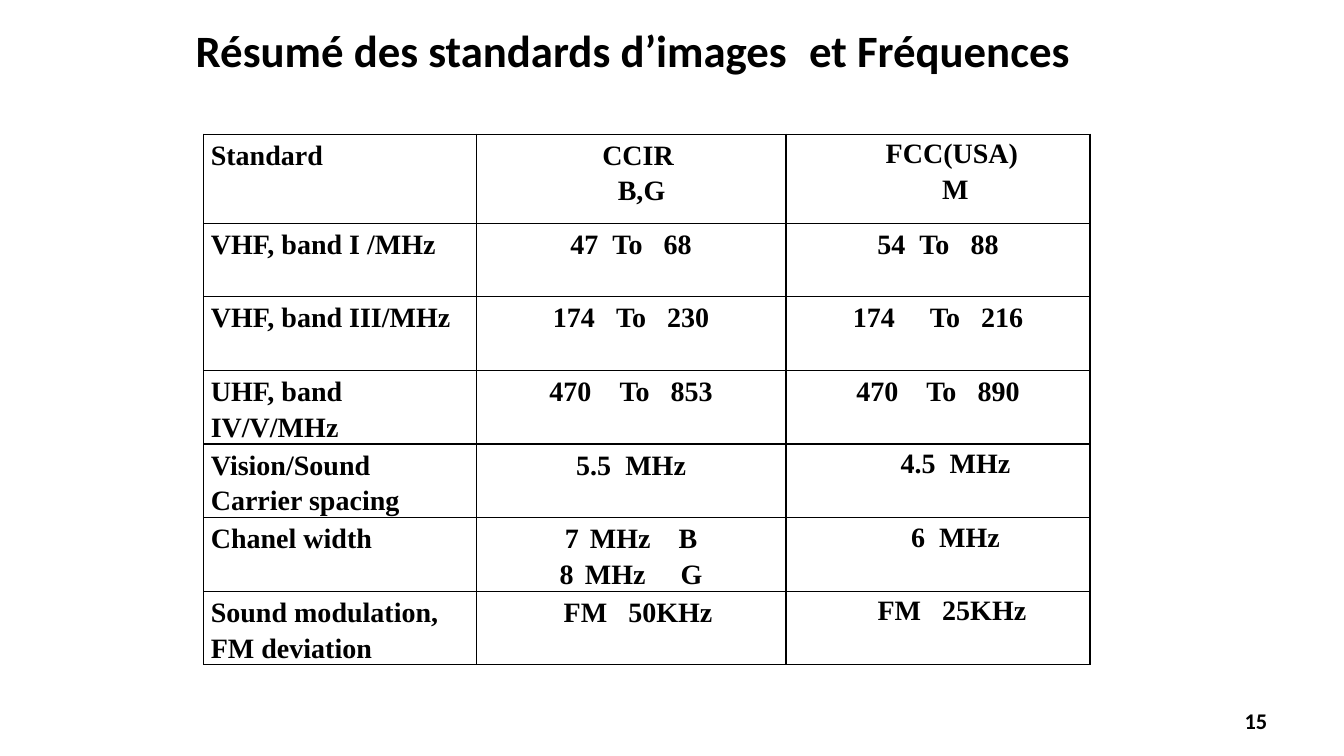
from lxml import etree
from pptx import Presentation
from pptx.dml.color import RGBColor
from pptx.enum.text import MSO_ANCHOR, PP_ALIGN
from pptx.oxml.ns import qn
from pptx.util import Pt

LEFT, CENTER, RIGHT = PP_ALIGN.LEFT, PP_ALIGN.CENTER, PP_ALIGN.RIGHT
MIDDLE = MSO_ANCHOR.MIDDLE
BLACK = "000000"
SPACE = 0.25  # width of a space, as a share of the text size


def color(code):
    return RGBColor.from_string(code)


class Page:
    """Holds the style and the current slide."""
    head, body, ink = "Calibri", "Times New Roman", BLACK

    def __init__(self, deck):
        self.slide = deck.slides.add_slide(deck.slide_layouts[6])

    def style(self, para, face, size, align):
        para.alignment = align
        font = para.font
        font.name, font.size, font.bold = face, Pt(size), True
        font.color.rgb = color(self.ink)

    def words(self, para, text, gaps, size):
        """Join the parts of text with spaces, each as wide as its gap."""
        first, *rest = text.split("|")
        para.add_run().text = first
        for part, gap in zip(rest, gaps):
            space = para.add_run()
            space.text = " "
            extra = round((gap - 1) * SPACE * size * 100)
            space._r.get_or_add_rPr().set("spc", str(extra))
            para.add_run().text = part

    def label(self, text, box, size, align, gaps=()):
        frame = self.slide.shapes.add_textbox(*map(Pt, box)).text_frame
        frame.word_wrap = True
        frame.vertical_anchor = MIDDLE
        para = frame.paragraphs[0]
        self.words(para, text, gaps, size)
        self.style(para, self.head, size, align)

    def border(self, cell):
        props = cell._tc.get_or_add_tcPr()
        for side in ("a:lnL", "a:lnR", "a:lnT", "a:lnB"):
            line = etree.SubElement(props, qn(side), w=str(Pt(1)))
            fill = etree.SubElement(line, qn("a:solidFill"))
            etree.SubElement(fill, qn("a:srgbClr"), val=self.ink)

    def cell(self, cell, lines, align, flush, size=20):
        """Fill a cell; each line is (text, gaps, lead, number)."""
        self.border(cell)
        cell.fill.background()
        side, top = (0, 0) if flush else (5, 1)
        cell.margin_left = cell.margin_right = Pt(side)
        cell.margin_top, cell.margin_bottom = Pt(top), 0
        frame = cell.text_frame
        for i, (text, gaps, lead, start) in enumerate(lines):
            para = frame.add_paragraph() if i else frame.paragraphs[0]
            para.line_spacing = 1.15
            props = para._p.get_or_add_pPr()
            if start:
                props.set("marL", str(Pt(18)))
                props.set("indent", str(-Pt(18)))
                etree.SubElement(props, qn("a:buAutoNum"),
                                 type="arabicPlain", startAt=str(start))
            elif lead:
                props.set("marL", str(Pt(lead * SPACE * size)))
            self.words(para, text, gaps, size)
            self.style(para, self.body, size, align)

    def table(self, rows, spot, widths, heights, flush):
        size = sum(widths), sum(heights)
        grid = self.slide.shapes.add_table(
            len(rows), len(widths), *map(Pt, (*spot, *size))).table
        grid.first_row = grid.horz_banding = False
        for col, width in zip(grid.columns, widths):
            col.width = Pt(width)
        for r, row in enumerate(rows):
            grid.rows[r].height = Pt(heights[r])
            for c, lines in enumerate(row):
                self.cell(grid.cell(r, c), lines, CENTER if c else LEFT,
                          (r, c) in flush)


def line(text, gaps=(), lead=0, start=0):
    return text, gaps, lead, start


def span(low, high, before, after=3):
    return [line(f"{low}|To|{high}", (before, after))]


ROWS = [
    [[line("Standard")],
     [line("CCIR", lead=2), line("B,G", lead=3)],
     [line("FCC(USA)", lead=4), line("M", lead=5)]],
    [[line("VHF, band I /MHz")], span(47, 68, 2), span(54, 88, 2)],
    [[line("VHF, band III/MHz")], span(174, 230, 3), span(174, 216, 5)],
    [[line("UHF, band IV/V/MHz")], span(470, 853, 4), span(470, 890, 4)],
    [[line("Vision/Sound"), line("Carrier spacing")],
     [line("5.5|MHz", (2,))],
     [line("4.5|MHz", (2,), 5)]],
    [[line("Chanel width")],
     [line("MHz|B", (4,), start=7), line("MHz|G", (5,), start=7)],
     [line("6|MHz", (2,), 5)]],
    [[line("Sound modulation,"), line("FM deviation")],
     [line("FM|50KHz", (3,), 2)],
     [line("FM|25KHz", (3,), 4)]],
]


def main():
    deck = Presentation()
    deck.slide_width, deck.slide_height = Pt(960), Pt(540)
    page = Page(deck)

    # Standards table
    page.table(ROWS, (145.6, 95.8), (194.6, 221.2, 217.2),
               [63.6] + [52.6] * 6, {(0, 2), (4, 2), (5, 2), (6, 2)})

    # Title and page number
    page.label("Résumé des standards d’images|et Fréquences",
               (106, 12.2, 692, 46), 32, CENTER, (2,))
    page.label("15", (688.3, 500.4, 224, 28.8), 16, RIGHT)

    deck.save("out.pptx")


if __name__ == "__main__":
    main()
